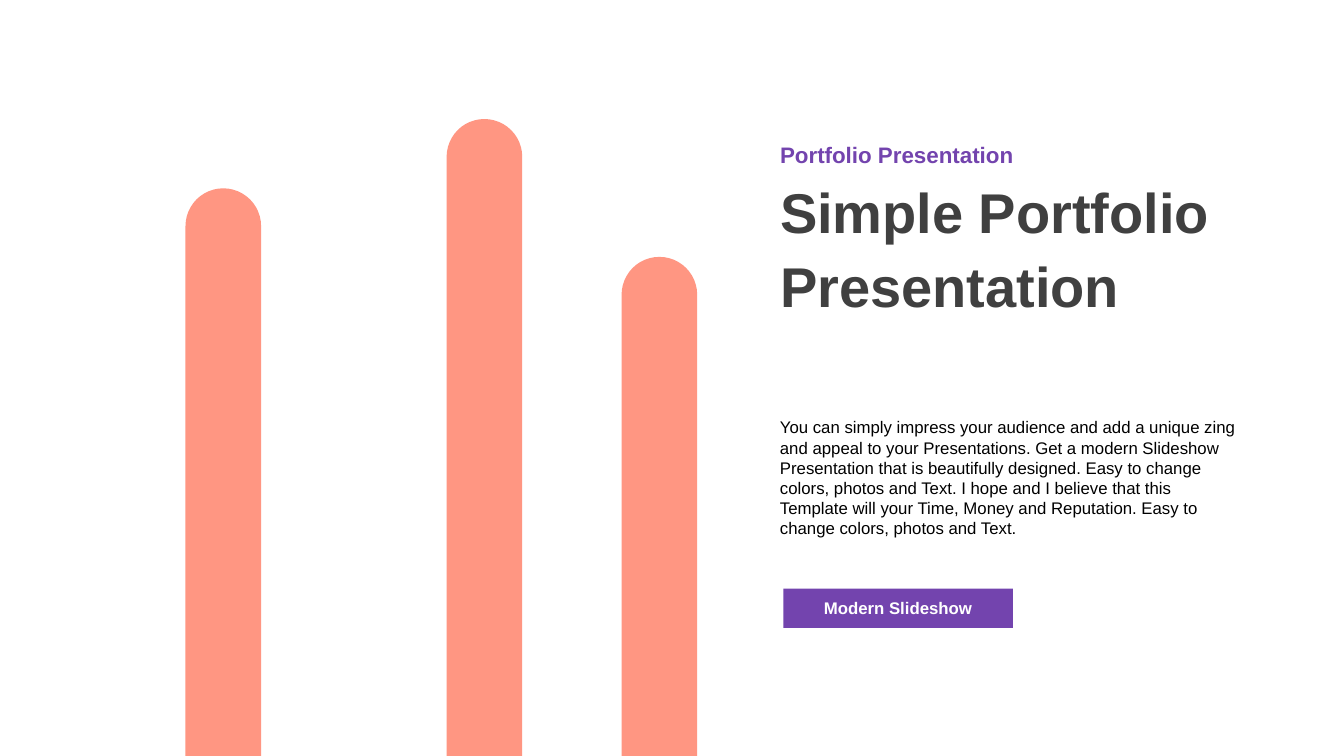
"""Build a portfolio cover slide with rounded bars beside the headline text."""
from dataclasses import dataclass

from lxml import etree
from pptx import Presentation
from pptx.dml.color import RGBColor
from pptx.enum import shapes, text
from pptx.oxml.ns import qn
from pptx.util import Pt

PURPLE = RGBColor(0x73, 0x44, 0xAE)
CHARCOAL = RGBColor(0x40, 0x40, 0x40)
BLACK = RGBColor(0, 0, 0)
WHITE = RGBColor(0xFF, 0xFF, 0xFF)
CORAL = RGBColor(0xFF, 0x50, 0x30)
FONT = "Arial"
SLIDE_WIDTH, SLIDE_HEIGHT = 960, 540
COLUMN_LEFT, COLUMN_WIDTH = 550, 342
BAR_WIDTH = 54
BAR_OPACITY = 60


@dataclass(frozen=True)
class Bar:
    left: float
    top: float


@dataclass(frozen=True)
class Wording:
    content: str
    size: float
    color: RGBColor
    bold: bool = True
    align: text.PP_ALIGN = text.PP_ALIGN.LEFT
    anchor: text.MSO_ANCHOR = text.MSO_ANCHOR.MIDDLE
    line_spacing: float = 1.0


BARS = [Bar(132.5, 134.5), Bar(319, 85), Bar(444, 183.5)]
KICKER = Wording("Portfolio Presentation", 16, PURPLE)
HEADLINE = Wording("Simple Portfolio Presentation", 40, CHARCOAL, line_spacing=1.1)
PITCH = Wording(
    "You can simply impress your audience and add a unique zing and appeal to your "
    "Presentations. Get a modern Slideshow Presentation that is beautifully designed. "
    "Easy to change colors, photos and Text. I hope and I believe that this Template "
    "will your Time, Money and Reputation. Easy to change colors, photos and Text.",
    12, BLACK, bold=False, anchor=text.MSO_ANCHOR.TOP)
BUTTON = Wording("Modern Slideshow", 12, WHITE, align=text.PP_ALIGN.CENTER)


def place(shape, left: float, top: float, width: float, height: float) -> None:
    shape.left, shape.top = Pt(left), Pt(top)
    shape.width, shape.height = Pt(width), Pt(height)


def write(shape, wording: Wording) -> None:
    frame = shape.text_frame
    frame.text = wording.content
    frame.word_wrap = True
    frame.auto_size = text.MSO_AUTO_SIZE.NONE
    frame.vertical_anchor = wording.anchor
    paragraph = frame.paragraphs[0]
    paragraph.alignment = wording.align
    paragraph.line_spacing = wording.line_spacing
    paragraph.space_before = Pt(0)
    font = paragraph.runs[0].font
    font.name, font.size, font.bold = FONT, Pt(wording.size), wording.bold
    font.color.rgb = wording.color


def add_filled(slide, kind: shapes.MSO_SHAPE, left: float, top: float,
               width: float, height: float, color: RGBColor):
    shape = slide.shapes.add_shape(kind, Pt(left), Pt(top), Pt(width), Pt(height))
    shape.shadow.inherit = False
    shape.fill.solid()
    shape.fill.fore_color.rgb = color
    shape.line.fill.background()
    return shape


def add_bar(slide, bar: Bar) -> None:
    shape = add_filled(slide, shapes.MSO_SHAPE.ROUND_2_SAME_RECTANGLE, bar.left, bar.top,
                       BAR_WIDTH, SLIDE_HEIGHT - bar.top, CORAL)
    shape.adjustments[0], shape.adjustments[1] = 0.5, 0
    tint = shape.fill._xPr.find(qn("a:solidFill")).find(qn("a:srgbClr"))
    etree.SubElement(tint, qn("a:alpha")).set("val", str(BAR_OPACITY * 1000))


def main() -> None:
    deck = Presentation()
    deck.slide_width, deck.slide_height = Pt(SLIDE_WIDTH), Pt(SLIDE_HEIGHT)
    slide = deck.slides.add_slide(deck.slide_layouts[0])

    headline, kicker = slide.shapes.title, slide.placeholders[1]
    place(kicker, COLUMN_LEFT, 95, 244, 31)
    write(kicker, KICKER)
    place(headline, COLUMN_LEFT, 127.5, COLUMN_WIDTH, 95)
    write(headline, HEADLINE)

    pitch = slide.shapes.add_textbox(Pt(COLUMN_LEFT), Pt(294.5), Pt(COLUMN_WIDTH), Pt(94.5))
    write(pitch, PITCH)
    button = add_filled(slide, shapes.MSO_SHAPE.RECTANGLE, 559.5, 420.5, 164, 28, PURPLE)
    write(button, BUTTON)

    for bar in BARS:
        add_bar(slide, bar)
    deck.save("out.pptx")


if __name__ == "__main__":
    main()
